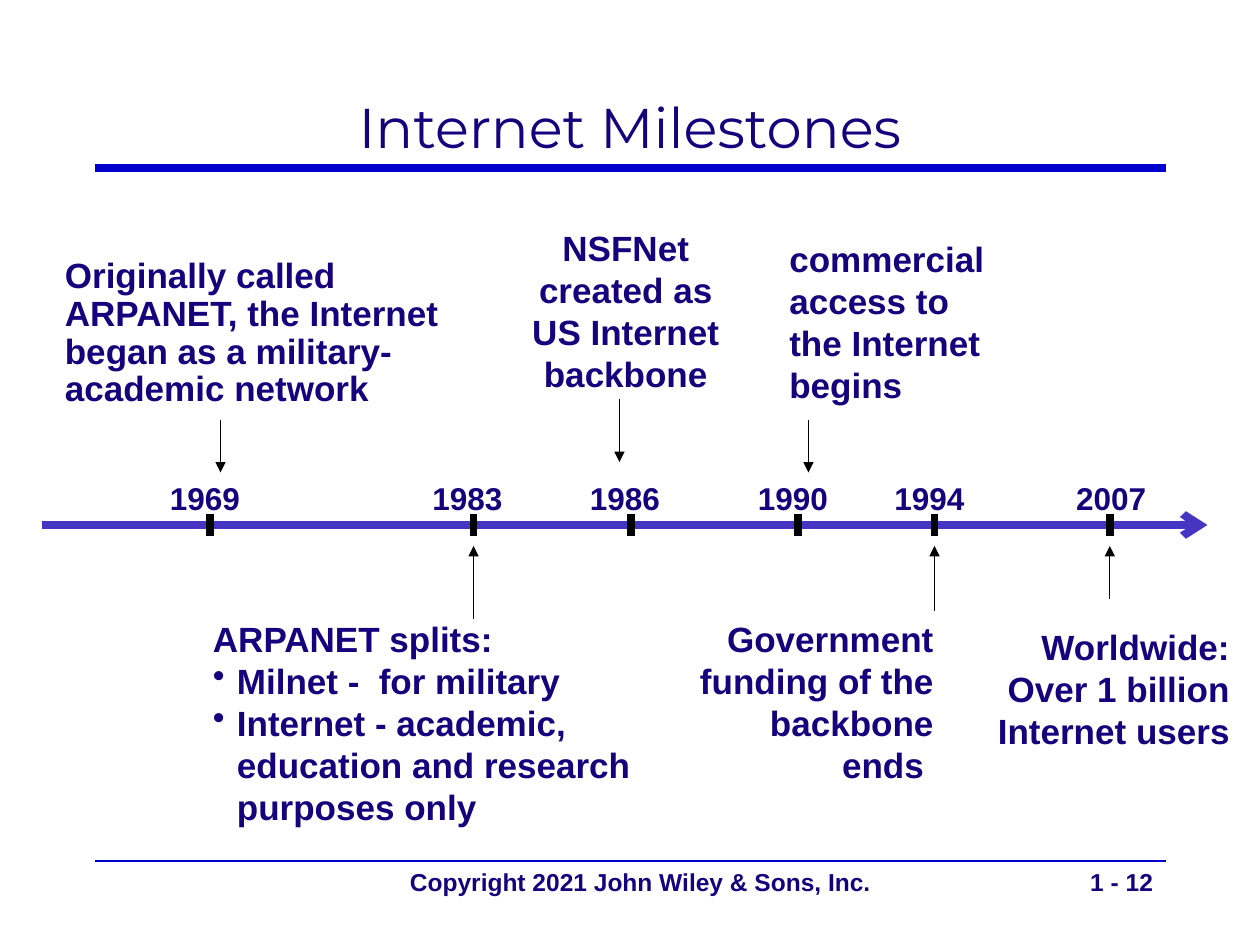
from dataclasses import dataclass

from lxml.etree import SubElement
from pptx import Presentation
from pptx.dml.color import RGBColor
from pptx.enum.shapes import MSO_CONNECTOR
from pptx.enum.text import MSO_ANCHOR, MSO_AUTO_SIZE, PP_ALIGN
from pptx.oxml.ns import qn
from pptx.util import Inches, Pt


@dataclass(frozen=True)
class Theme:
    ink: RGBColor = RGBColor(0x16, 0x02, 0x7C)
    rule: RGBColor = RGBColor(0x00, 0x00, 0xCC)
    axis: RGBColor = RGBColor(0x46, 0x35, 0xC3)
    mark: RGBColor = RGBColor(0x00, 0x00, 0x00)
    title_font: str = "Montserrat"
    body_font: str = "Arial"
    title_size: int = 32
    note_size: int = 20
    year_size: int = 18
    footer_size: int = 14
    heavy: float = 4.5
    thin: float = 0.75


class SlideBuilder:
    """Places elements on a grid of 120 columns by 90 rows."""

    def __init__(self, prs, theme):
        self.theme = theme
        self.slide = prs.slides.add_slide(prs.slide_layouts[6])
        self.col = prs.slide_width / 120
        self.row = prs.slide_height / 90

    def place(self, x, y):
        return round(x * self.col), round(y * self.row)

    def line(self, start, end, color, width, head=None):
        s = self.slide.shapes.add_connector(
            MSO_CONNECTOR.STRAIGHT, *self.place(*start), *self.place(*end))
        s.line.color.rgb = color
        s.line.width = Pt(width)
        if head:
            SubElement(s.line._get_or_add_ln(), qn("a:tailEnd"), type=head)
        SubElement(s._element.spPr, qn("a:effectLst"))

    def text(self, box, lines, size, align=PP_ALIGN.LEFT, bold=True, font=None,
             wrap=True, grow=True, anchor=MSO_ANCHOR.TOP, spacing=None):
        x, y, w, h = box
        sp = self.slide.shapes.add_textbox(*self.place(x, y), *self.place(w, h))
        tf = sp.text_frame
        frame = {
            "word_wrap": wrap,
            "vertical_anchor": anchor,
            "auto_size": MSO_AUTO_SIZE.SHAPE_TO_FIT_TEXT if grow else MSO_AUTO_SIZE.NONE,
        }
        for name, value in frame.items():
            setattr(tf, name, value)
        style = {"size": Pt(size), "bold": bold, "name": font or self.theme.body_font}
        for i, line in enumerate(lines):
            p = tf.paragraphs[0] if i == 0 else tf.add_paragraph()
            p.alignment = align
            p.line_spacing = spacing
            if i:
                self.bullet(p)
            r = p.add_run()
            r.text = line
            for name, value in style.items():
                setattr(r.font, name, value)
            r.font.color.rgb = self.theme.ink

    def bullet(self, p):
        pPr = p._p.get_or_add_pPr()
        pPr.set("marL", str(Inches(0.19)))
        pPr.set("indent", str(-Inches(0.19)))
        SubElement(pPr, qn("a:buChar"), char="•")

    def milestone(self, year, label_x, tick_x, arrow, note):
        t = self.theme
        arrow_x, start, end = arrow
        box, lines, fmt = note
        self.text((label_x, 45, 9.1, 4.8), [year], t.year_size, wrap=False)
        self.line((tick_x, 49), (tick_x, 51), t.mark, t.heavy)
        self.line((arrow_x, start), (arrow_x, end), t.mark, t.thin, "triangle")
        self.text(box, lines, t.note_size, **fmt)


CENTER = {"align": PP_ALIGN.CENTER}
RIGHT = {"align": PP_ALIGN.RIGHT}

# Year, label column, tick column, arrow (column, from row, to row), note
MILESTONES = [
    ("1969", 15, 20, (21, 40, 45),
     ((5, 24, 44, 15.6),
      ["Originally called ARPANET, the Internet began as a military-academic network"],
      {"spacing": 0.9})),
    ("1983", 40, 45.1, (45.1, 59, 52),
     ((19.1, 58.2, 45, 21.2),
      ["ARPANET splits:", "Milnet -  for military",
       "Internet - academic, education and research purposes only"], {})),
    ("1986", 55, 60.1, (59, 38, 44),
     ((47.6, 21, 24, 17.2), ["NSFNet created as US Internet backbone"], CENTER)),
    ("1990", 71, 76, (77, 40, 45),
     ((74, 22, 23, 17.2), ["commercial access to the Internet begins"], {})),
    ("1994", 84, 89, (89, 58.2, 52),
     ((64.1, 58.2, 26, 17.2), ["Government funding of the backbone ends "], RIGHT)),
    ("2007", 101.3, 105.7, (105.7, 57, 52),
     ((92.5, 59, 25.8, 13.2), ["Worldwide: Over 1 billion Internet users"], RIGHT)),
]


def main():
    prs = Presentation()
    prs.slide_width, prs.slide_height = Inches(10), Inches(7.5)
    t = Theme()
    s = SlideBuilder(prs, t)

    # Title and footer
    s.line((9, 16), (111, 16), t.rule, t.heavy)
    s.line((9, 82), (111, 82), t.rule, 1)
    s.text((9, 7, 102, 10), ["Internet Milestones"], t.title_size, bold=False,
           font=t.title_font, grow=False, anchor=MSO_ANCHOR.MIDDLE, **CENTER)
    s.text((36, 82, 50, 6), ["Copyright 2021 John Wiley & Sons, Inc."],
           t.footer_size, grow=False, **CENTER)
    s.text((86, 82, 25, 6), ["1 - 12"], t.footer_size, grow=False, **RIGHT)

    # Timeline
    s.line((4, 50), (115, 50), t.axis, t.heavy, "arrow")
    for milestone in MILESTONES:
        s.milestone(*milestone)

    prs.save("out.pptx")


if __name__ == "__main__":
    main()
